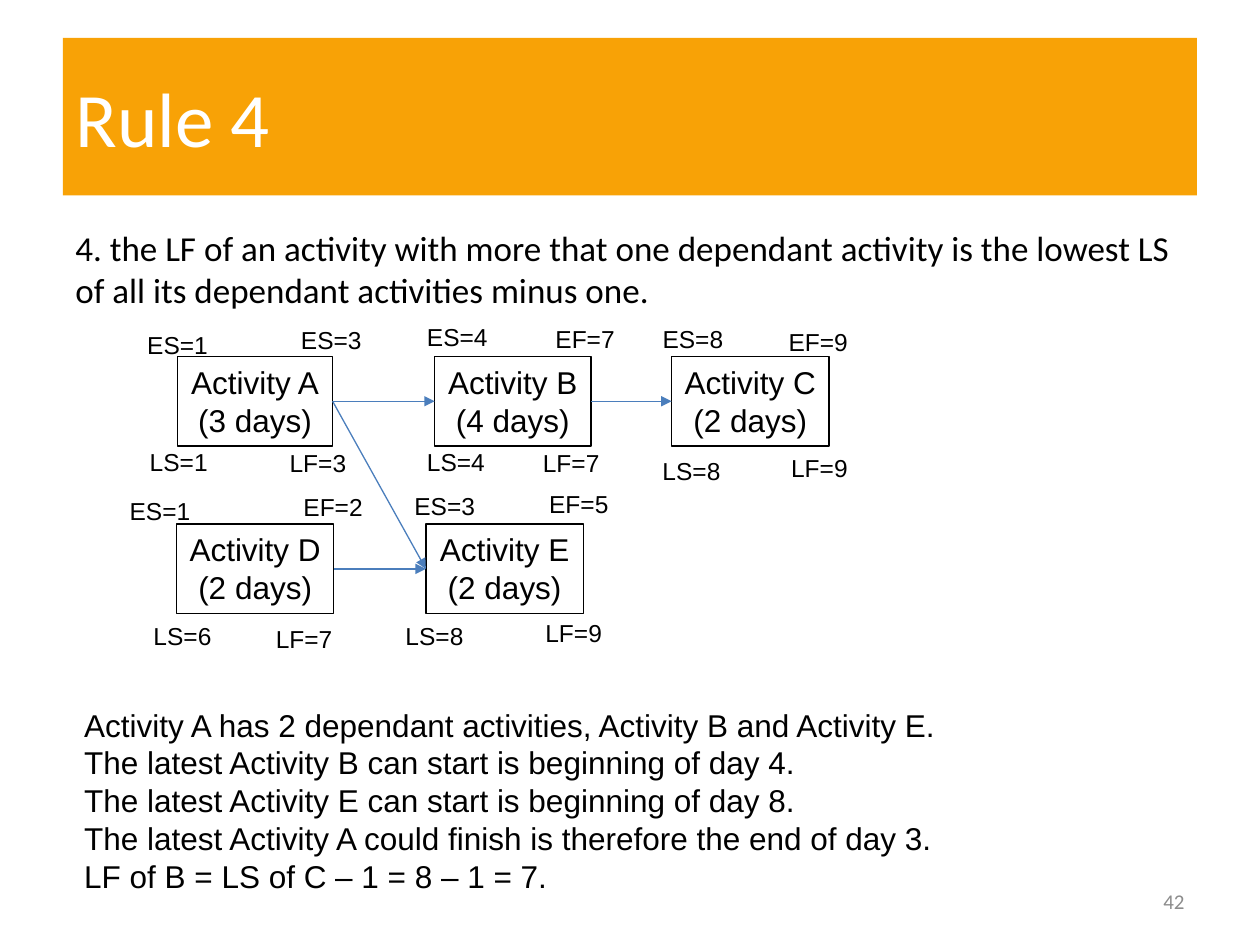
from lxml import etree
from pptx import Presentation
from pptx.dml.color import RGBColor
from pptx.enum.shapes import MSO_CONNECTOR, MSO_SHAPE
from pptx.enum.text import MSO_ANCHOR, PP_ALIGN
from pptx.oxml.ns import qn
from pptx.util import Inches, Pt

COLORS = {"banner": "F8A206", "white": "FFFFFF", "text": "000000",
          "arrow": "4B7EBC", "number": "8C8C8C"}
LEFT_SITE, RIGHT_SITE = 1, 3  # connection sites of a rectangle

# name: (left, top, width, days, [(label, dx, dy) from the box corner])
ACTIVITIES = {
    "A": (1.41, 2.83, 1.23, 3, [("ES=1", -0.34, -0.26), ("ES=3", 0.88, -0.3),
                                ("LS=1", -0.32, 0.67), ("LF=3", 0.79, 0.68)]),
    "B": (3.45, 2.83, 1.24, 4, [("ES=4", -0.16, -0.32), ("EF=7", 0.86, -0.31),
                                ("LS=4", -0.16, 0.67), ("LF=7", 0.76, 0.68)]),
    "C": (5.33, 2.83, 1.25, 2, [("ES=8", -0.17, -0.31), ("EF=9", 0.83, -0.28),
                                ("LS=8", -0.17, 0.74), ("LF=9", 0.85, 0.72)]),
    "D": (1.4, 4.16, 1.25, 2, [("ES=1", -0.47, -0.27), ("EF=2", 0.91, -0.3),
                               ("LS=6", -0.28, 0.72), ("LF=7", 0.69, 0.74)]),
    "E": (3.38, 4.16, 1.25, 2, [("ES=3", -0.19, -0.31), ("EF=5", 0.88, -0.33),
                                ("LS=8", -0.26, 0.72), ("LF=9", 0.85, 0.7)]),
}
LABEL_WIDTHS = {"ES": 0.69, "EF": 0.68, "LS": 0.66, "LF": 0.65}
LINKS = ["AB", "AE", "DE", "BC"]

RULE = ("4. the LF of an activity with more that one dependant activity is "
        "the lowest LS of all its dependant activities minus one.")
EXPLANATION = [
    "Activity A has 2 dependant activities, Activity B and Activity E.",
    "The latest Activity B can start is beginning of day 4.",
    "The latest Activity E can start is beginning of day 8.",
    "The latest Activity A could finish is therefore the end of day 3.",
    "LF of B = LS of C – 1 = 8 – 1 = 7.",
]


def rgb(name):
    return RGBColor.from_string(COLORS[name])


def set_text(sp, lines, size, font="Arial", color="text", wrap=False,
             align=PP_ALIGN.LEFT, anchor=MSO_ANCHOR.TOP):
    tf = sp.text_frame
    tf.word_wrap = wrap
    tf.vertical_anchor = anchor
    tf.text = "\n".join(lines)
    for p in tf.paragraphs:
        p.alignment = align
        for r in p.runs:
            r.font.size = Pt(size)
            r.font.name = font
            r.font.color.rgb = rgb(color)


def add_text(s, box, lines, size, **style):
    sp = s.shapes.add_textbox(*map(Inches, box))
    set_text(sp, lines, size, **style)


def add_rect(s, box):
    sp = s.shapes.add_shape(MSO_SHAPE.RECTANGLE, *map(Inches, box))
    sp.shadow.inherit = False
    return sp


def add_banner(s, box, title):
    sp = add_rect(s, box)
    sp.fill.solid()
    sp.fill.fore_color.rgb = rgb("banner")
    sp.line.fill.background()
    set_text(sp, [title], 44, font="Calibri", color="white", wrap=True,
             anchor=MSO_ANCHOR.MIDDLE)


def add_activity(s, name, left, top, width, days, labels):
    sp = add_rect(s, (left, top, width, 0.71))
    sp.fill.background()
    sp.line.color.rgb = rgb("text")
    sp.line.width = Pt(0.75)
    set_text(sp, [f"Activity {name}", f"({days} days)"], 18,
             align=PP_ALIGN.CENTER)
    for label, dx, dy in labels:
        add_text(s, (left + dx, top + dy, LABEL_WIDTHS[label[:2]], 0.34),
                 [label], 14)
    return sp


def add_arrow(s, start, end):
    line = s.shapes.add_connector(MSO_CONNECTOR.STRAIGHT, 0, 0, 0, 0)
    line.begin_connect(start, RIGHT_SITE)
    line.end_connect(end, LEFT_SITE)
    line.line.color.rgb = rgb("arrow")
    line.line.width = Pt(0.75)
    etree.SubElement(line.line._get_or_add_ln(), qn("a:tailEnd"),
                     type="triangle")
    etree.SubElement(line._element.spPr, qn("a:effectLst"))


def add_network(s):
    boxes = {name: add_activity(s, name, *activity)
             for name, activity in ACTIVITIES.items()}
    for start, end in LINKS:
        add_arrow(s, boxes[start], boxes[end])


def main():
    prs = Presentation()
    prs.slide_width, prs.slide_height = Inches(10), Inches(7.5)
    s = prs.slides.add_slide(prs.slide_layouts[6])

    # Title and rule
    add_banner(s, (0.5, 0.3, 9, 1.25), "Rule 4")
    add_text(s, (0.5, 1.75, 9, 0.82), [RULE], 20, font="Calibri", wrap=True)

    # Activity network
    add_network(s)

    # Explanation and slide number
    add_text(s, (0.57, 5.55, 7.02, 1.62), EXPLANATION, 18)
    add_text(s, (7.17, 6.95, 2.33, 0.4), ["42"], 12, font="Calibri",
             color="number", wrap=True, align=PP_ALIGN.RIGHT,
             anchor=MSO_ANCHOR.MIDDLE)

    prs.save("out.pptx")


if __name__ == "__main__":
    main()
